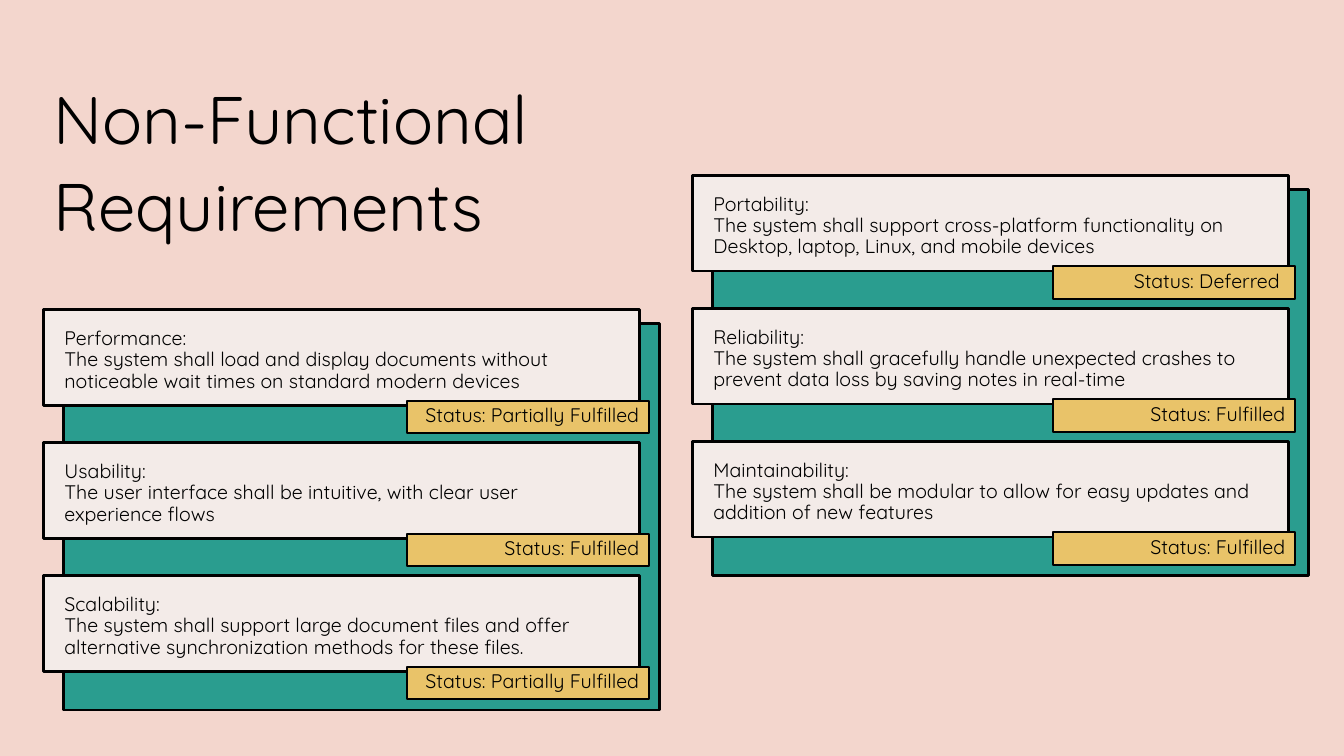
from pptx import Presentation
from pptx.dml.color import RGBColor
from pptx.enum.shapes import MSO_SHAPE
from pptx.enum.text import MSO_ANCHOR, MSO_AUTO_SIZE, PP_ALIGN
from pptx.util import Pt

RECT = MSO_SHAPE.RECTANGLE
TOP = MSO_ANCHOR.TOP
FIXED = MSO_AUTO_SIZE.NONE
LEFT, RIGHT = PP_ALIGN.LEFT, PP_ALIGN.RIGHT

PINK = RGBColor(0xF3, 0xD6, 0xCD)
TEAL = RGBColor(0x2A, 0x9D, 0x8F)
CREAM = RGBColor(0xF3, 0xEB, 0xE8)
GOLD = RGBColor(0xE9, 0xC3, 0x69)
BLACK = RGBColor(0, 0, 0)

WIDE, HIGH, STEP = 426, 68.4, 95
FRAME = {"word_wrap": True, "auto_size": FIXED, "vertical_anchor": TOP}
CARD = {"margin_left": Pt(15), "margin_top": Pt(13.7),
        "margin_right": Pt(13), "margin_bottom": Pt(0)}
EDGE = {"margin_left": Pt(7.2), "margin_top": Pt(3.6),
        "margin_right": Pt(7.2), "margin_bottom": Pt(3.6)}

FIRST = [
    ("Performance:", "The system shall load and display documents without "
     "noticeable wait times on standard modern devices",
     "Status: Partially Fulfilled"),
    ("Usability:", "The user interface shall be intuitive, with clear user "
     "experience flows", "Status: Fulfilled"),
    ("Scalability:", "The system shall support large document files and offer "
     "alternative synchronization methods for these files.",
     "Status: Partially Fulfilled"),
]
SECOND = [
    ("Portability:", "The system shall support cross-platform functionality on "
     "Desktop, laptop, Linux, and mobile devices", "Status: Deferred "),
    ("Reliability:", "The system shall gracefully handle unexpected crashes to "
     "prevent data loss by saving notes in real-time", "Status: Fulfilled"),
    ("Maintainability:", "The system shall be modular to allow for easy updates "
     "and addition of new features", "Status: Fulfilled"),
]


def apply(item, values):
    for name, value in values.items():
        setattr(item, name, value)


def write(shape, text, size, align, edge):
    frame = shape.text_frame
    frame.text = text
    apply(frame, {**FRAME, **edge})
    for i, para in enumerate(frame.paragraphs):
        apply(para, {"alignment": align, "line_spacing": 0.9,
                     "space_before": Pt(10 if i else 0)})
        for run in para.runs:
            apply(run.font, {"name": "Quicksand", "size": Pt(size)})
            run.font.color.rgb = BLACK


def block(slide, box, fill, line):
    shape = slide.shapes.add_shape(RECT, *map(Pt, box))
    shape.shadow.inherit = False
    shape.fill.solid()
    shape.fill.fore_color.rgb = fill
    shape.line.color.rgb = BLACK
    shape.line.width = Pt(line)
    return shape


def heading(slide, box):
    title = slide.shapes.title
    apply(title, dict(zip(("left", "top", "width", "height"), map(Pt, box))))
    write(title, "Non-Functional\nRequirements", 48, LEFT, EDGE)


def column(slide, box, shift, rows):
    x, y, w, h = box
    block(slide, (x + 14.4, y + 10, w, h), TEAL, 2)
    for i, (name, text, status) in enumerate(rows):
        top = y + i * STEP
        card = block(slide, (x, top, w, HIGH), CREAM, 2)
        write(card, f"{name}\v{text}", 14, LEFT, CARD)
        tag = block(slide, (x + shift, top + 65, 172.8, 23.4), GOLD, 1.5)
        write(tag, status, 14, RIGHT, EDGE)


def main():
    deck = Presentation()
    apply(deck, {"slide_width": Pt(960), "slide_height": Pt(540)})
    slide = deck.slides.add_slide(deck.slide_layouts[5])
    slide.background.fill.solid()
    slide.background.fill.fore_color.rgb = PINK
    heading(slide, (31, 58.3, 433.4, 134))
    column(slide, (31, 221.2, WIDE, 276), 260, FIRST)
    column(slide, (494.6, 125.2, WIDE, 276), 257.8, SECOND)
    deck.save("out.pptx")


if __name__ == "__main__":
    main()
